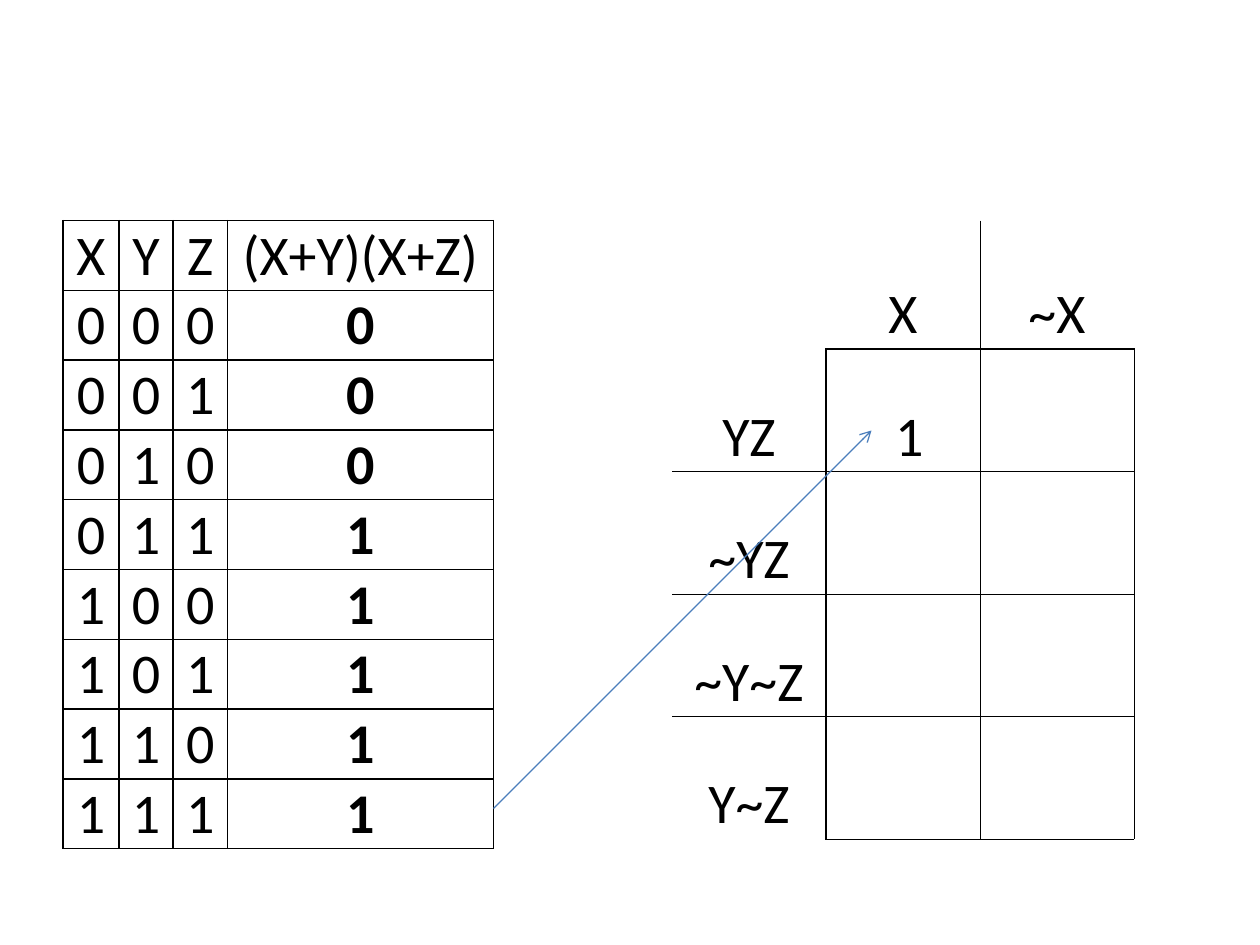
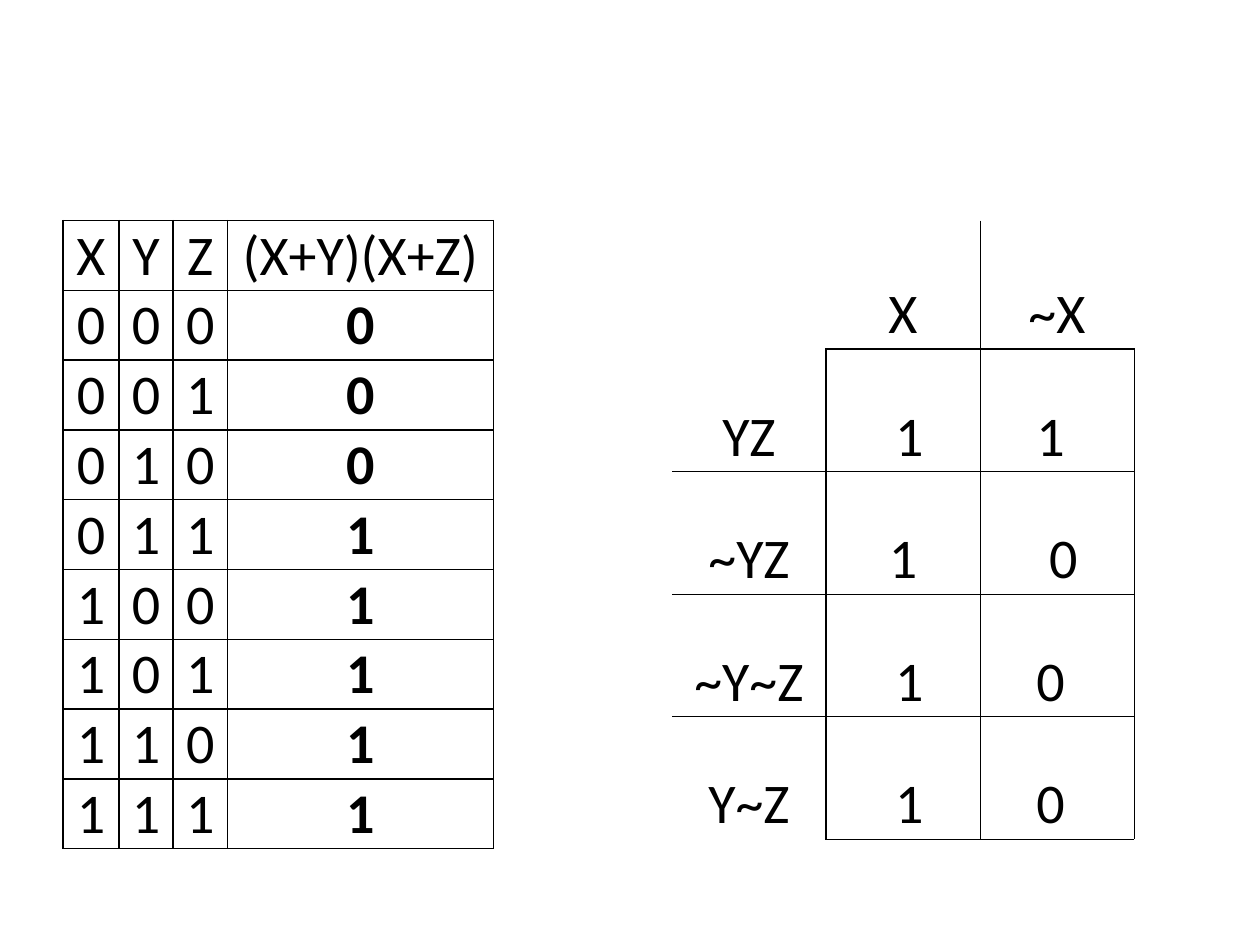
from lxml import etree
from pptx import Presentation
from pptx.dml.color import RGBColor
from pptx.enum import shapes, text
from pptx.oxml import ns
from pptx.util import Pt

# Content
TRUTH_ROWS = [("X", "Y", "Z", "(X+Y)(X+Z)")] + [
    tuple("01"[bit] for bit in (x, y, z, (x | y) & (x | z)))
    for x in (0, 1) for y in (0, 1) for z in (0, 1)
]
MAP_COLUMNS = ["", "X", "~X"]
MAP_ROWS = ["YZ", "~YZ", "~Y~Z", "Y~Z"]
MAP_STEPS = [
    {"values": [(" 1", ""), ("", ""), ("", ""), ("", "")], "arrow": True},
    {"values": [(" 1", "1 "), ("1", " 0"), (" 1", "0 "), (" 1", "0 ")], "arrow": False},
]

# Shared look, lengths in points
FONT, FONT_SIZE = "Calibri", 32
INK, ARROW_COLOUR = "000000", "4B7EBC"
PLAIN_STYLE = "{2D5ABB26-0587-4C30-8999-92F81FD0307C}"
TABLE_TOP = 126
TRUTH = {"left": 36, "widths": [32, 31, 31, 152],
         "heights": [39.1] * len(TRUTH_ROWS), "inset": 3}
MAP = {"left": 384, "widths": [88] * 3, "heights": [73.5] + [70] * 4, "inset": 0.75}
ARROW = (282, 462, 498, 246)


def colour(hex_string):
    return RGBColor.from_string(hex_string)


# Border widths: edge k counts from the left or the top of the table
def truth_edge(position, k):
    return 1


def map_vertical(row, k):
    return {1: row and 1, 2: 0.5, 3: row and 0.5}.get(k, 0)


def map_horizontal(column, k):
    return {1: column and 1, 2: 0.5, 3: 0.5, 4: 0.5, 5: column and 0.5}.get(k, 0)


def draw_border(cell, side, width):
    properties = cell._tc.get_or_add_tcPr()
    line = etree.SubElement(properties, ns.qn(f"a:ln{side}"))
    if not width:
        etree.SubElement(line, ns.qn("a:noFill"))
        return
    line.set("w", str(Pt(width)))
    fill = etree.SubElement(line, ns.qn("a:solidFill"))
    etree.SubElement(fill, ns.qn("a:srgbClr")).set("val", INK)


def write_cell(cell, words, inset, bold):
    cell.margin_left = cell.margin_right = Pt(inset)
    cell.margin_top, cell.margin_bottom = Pt(0.75), 0
    cell.vertical_anchor = text.MSO_ANCHOR.BOTTOM
    paragraph = cell.text_frame.paragraphs[0]
    paragraph.alignment = text.PP_ALIGN.CENTER
    run = paragraph.add_run()
    run.text = words
    run.font.name, run.font.size, run.font.bold = FONT, Pt(FONT_SIZE), bold
    run.font.color.rgb = colour(INK)


def add_grid(slide, rows, layout, vertical, horizontal, is_bold):
    widths, heights = layout["widths"], layout["heights"]
    grid = slide.shapes.add_table(
        len(rows), len(widths), Pt(layout["left"]), Pt(TABLE_TOP),
        Pt(sum(widths)), Pt(sum(heights))).table
    grid.first_row = grid.horz_banding = False
    grid._tbl.tblPr.find(ns.qn("a:tableStyleId")).text = PLAIN_STYLE
    for column, width in zip(grid.columns, widths):
        column.width = Pt(width)
    for r, (row, height) in enumerate(zip(rows, heights)):
        grid.rows[r].height = Pt(height)
        for c, words in enumerate(row):
            cell = grid.cell(r, c)
            draw_border(cell, "L", vertical(r, c))
            draw_border(cell, "R", vertical(r, c + 1))
            draw_border(cell, "T", horizontal(c, r))
            draw_border(cell, "B", horizontal(c, r + 1))
            cell.fill.background()
            if words:
                write_cell(cell, words, layout["inset"], is_bold(r, c))


def add_arrow(slide):
    arrow = slide.shapes.add_connector(
        shapes.MSO_CONNECTOR.STRAIGHT, *[Pt(value) for value in ARROW])
    arrow.line.color.rgb = colour(ARROW_COLOUR)
    arrow.line.width = Pt(0.75)
    line = arrow.line._get_or_add_ln()
    etree.SubElement(line, ns.qn("a:tailEnd")).set("type", "arrow")
    etree.SubElement(arrow._element.spPr, ns.qn("a:effectLst"))


def main():
    deck = Presentation()
    deck.slide_width, deck.slide_height = Pt(720), Pt(540)
    for step in MAP_STEPS:
        slide = deck.slides.add_slide(deck.slide_layouts[6])
        # Truth table, with its results in bold
        add_grid(slide, TRUTH_ROWS, TRUTH, truth_edge, truth_edge,
                 lambda r, c: r > 0 and c == 3)
        # Karnaugh map
        map_rows = [MAP_COLUMNS] + [
            [label, *values] for label, values in zip(MAP_ROWS, step["values"])]
        add_grid(slide, map_rows, MAP, map_vertical, map_horizontal,
                 lambda r, c: False)
        # Link from the last result to its place in the map
        if step["arrow"]:
            add_arrow(slide)
    deck.save("out.pptx")


if __name__ == "__main__":
    main()
